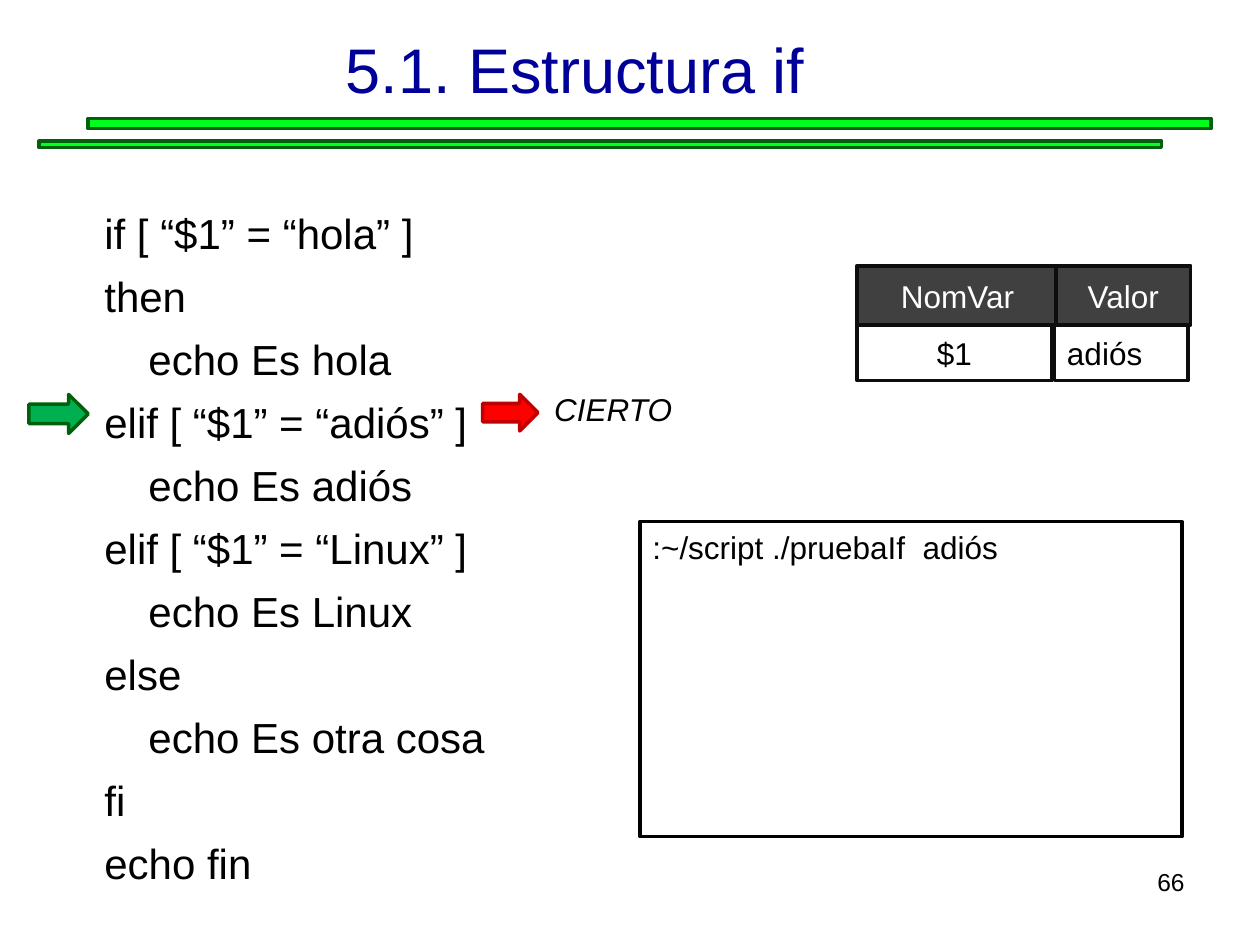
from dataclasses import dataclass

from pptx import Presentation
from pptx.dml.color import RGBColor
from pptx.enum.shapes import MSO_SHAPE
from pptx.enum.text import MSO_ANCHOR, PP_ALIGN
from pptx.util import Inches, Pt

RECT, ARROW = MSO_SHAPE.RECTANGLE, MSO_SHAPE.RIGHT_ARROW
TOP, MIDDLE = MSO_ANCHOR.TOP, MSO_ANCHOR.MIDDLE
LEFT, CENTER, RIGHT = PP_ALIGN.LEFT, PP_ALIGN.CENTER, PP_ALIGN.RIGHT


@dataclass(frozen=True)
class Theme:
    font: str = "Arial"
    title: str = "000099"
    black: str = "000000"
    white: str = "FFFFFF"
    head: str = "404040"
    edge: str = "0D0D0D"
    lime: str = "00FE1E"
    pine: str = "00600B"
    green: str = "00B050"
    red: str = "FF0000"
    wine: str = "C00000"
    big: int = 36
    code: int = 24
    body: int = 18
    small: int = 14
    line: int = 2


@dataclass(frozen=True)
class Area:
    left: float
    top: float
    width: float
    height: float

    def lengths(self) -> tuple:
        return tuple(map(Inches, (self.left, self.top, self.width, self.height)))


@dataclass(frozen=True)
class Style:
    size: int
    color: str
    align: PP_ALIGN = LEFT
    anchor: MSO_ANCHOR = TOP
    italic: bool = False


@dataclass(frozen=True)
class Block:
    area: Area
    fill: str
    edge: str
    kind: MSO_SHAPE = RECT
    text: str = ""
    style: Style | None = None


T = Theme()
HEAD = Style(T.body, T.white, CENTER, MIDDLE)
CELL = Style(T.body, T.black, CENTER, MIDDLE)
VALUE = Style(T.body, T.black, LEFT, MIDDLE)
PLAIN = Style(T.body, T.black)

BLOCKS = [
    # Rules under the title
    Block(Area(0.7, 0.94, 8.91, 0.08), T.lime, T.pine),
    Block(Area(0.31, 1.12, 8.91, 0.05), T.lime, T.pine),
    # Variable grid
    Block(Area(6.8, 2.11, 1.6, 0.47), T.head, T.edge, text="NomVar", style=HEAD),
    Block(Area(8.38, 2.11, 1.07, 0.47), T.head, T.edge, text="Valor", style=HEAD),
    Block(Area(6.8, 2.58, 1.55, 0.44), T.white, T.edge, text="$1", style=CELL),
    Block(Area(8.37, 2.58, 1.06, 0.44), T.white, T.edge, text="adiós", style=VALUE),
    # Terminal
    Block(Area(5.08, 4.14, 4.3, 2.5), T.white, T.black,
          text=":~/script ./pruebaIf  adiós", style=PLAIN),
    # Step and result arrows
    Block(Area(0.23, 3.13, 0.47, 0.31), T.green, T.pine, ARROW),
    Block(Area(3.83, 3.13, 0.44, 0.29), T.red, T.wine, ARROW),
]

CODE = """if [ “$1” = “hola” ]
then
\techo Es hola
elif [ “$1” = “adiós” ]
\techo Es adiós
elif [ “$1” = “Linux” ]
\techo Es Linux
else
\techo Es otra cosa
fi
echo fin"""


def write(shape, text: str, style: Style) -> None:
    frame = shape.text_frame
    frame.text = text
    frame.word_wrap = True
    frame.vertical_anchor = style.anchor
    for para in frame.paragraphs:
        para.alignment = style.align
        for run in para.runs:
            font = run.font
            font.name, font.size = T.font, Pt(style.size)
            font.italic = style.italic
            font.color.rgb = RGBColor.from_string(style.color)


def draw(slide, block: Block) -> None:
    shape = slide.shapes.add_shape(block.kind, *block.area.lengths())
    shape.shadow.inherit = False
    shape.fill.solid()
    shape.fill.fore_color.rgb = RGBColor.from_string(block.fill)
    shape.line.color.rgb = RGBColor.from_string(block.edge)
    shape.line.width = Pt(T.line)
    if block.style:
        write(shape, block.text, block.style)


def label(slide, area: Area, text: str, style: Style):
    box = slide.shapes.add_textbox(*area.lengths())
    write(box, text, style)
    return box


def indent(box) -> None:
    """Hang each line so that a leading tab lands on the margin."""
    for index, para in enumerate(box.text_frame.paragraphs):
        props = para._p.get_or_add_pPr()
        props.set("marL", str(Inches(0.38)))
        props.set("indent", str(Inches(-0.35)))
        para.space_before = Pt(7.2 if index else 0)


def main() -> None:
    deck = Presentation()
    deck.slide_width, deck.slide_height = Inches(10), Inches(7.5)
    slide = deck.slides.add_slide(deck.slide_layouts[5])

    # Title
    title = slide.shapes.title
    title.left, title.top, title.width, title.height = Area(
        -0.55, -0.08, 10.23, 1.25).lengths()
    write(title, "5.1. Estructura if", Style(T.big, T.title, CENTER, MIDDLE))

    for block in BLOCKS:
        draw(slide, block)

    # Script, result and page number
    indent(label(slide, Area(0.7, 1.6, 3.28, 5.58), CODE, Style(T.code, T.black)))
    label(slide, Area(4.3, 3.05, 1.15, 0.4), "CIERTO",
          Style(T.body, T.black, italic=True))
    label(slide, Area(7.17, 6.83, 2.33, 0.52), "66",
          Style(T.small, T.black, RIGHT))

    deck.save("out.pptx")


if __name__ == "__main__":
    main()
